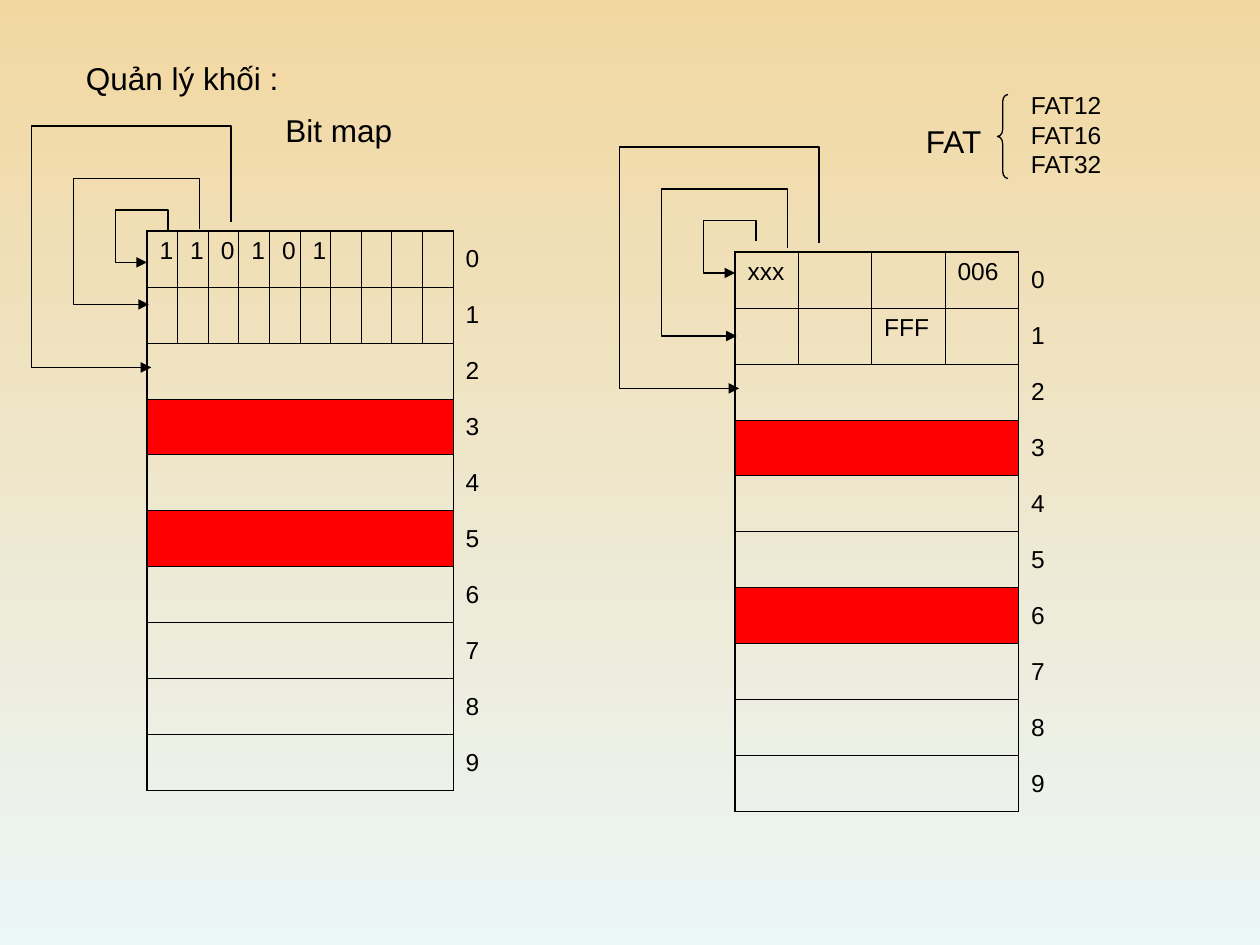
import pptx
import pptx.dml.color
import pptx.enum.shapes
import pptx.enum.text
import pptx.oxml
import pptx.oxml.ns
import pptx.util

Pt = pptx.util.Pt
NS = pptx.oxml.ns.nsdecls("a")
INK, RED = "000000", "FF0000"
THIN, THICK = 0.45, 1.08
ROW = 32


def paint(text):
    return pptx.dml.color.RGBColor.from_string(text)


def style(item, form):
    for name, value in form.items():
        setattr(item, name, value)


def write(para, text, size):
    para.text = text
    style(para.font, {"name": "Arial", "size": Pt(size)})
    para.font.color.rgb = paint(INK)


def label(slide, box, lines, size):
    frame = slide.shapes.add_textbox(*map(Pt, box)).text_frame
    style(frame, {
        "word_wrap": False,
        "auto_size": pptx.enum.text.MSO_AUTO_SIZE.SHAPE_TO_FIT_TEXT,
    })
    for i, line in enumerate(lines):
        para = frame.add_paragraph() if i else frame.paragraphs[0]
        write(para, line, size)


def outline(shape):
    shape.shadow.inherit = False
    shape.fill.background()
    shape.line.color.rgb = paint(INK)
    shape.line.width = Pt(0.75)


def edge(cell, widths):
    """Set the left, right, top and bottom borders; zero means none."""
    props = cell._tc.get_or_add_tcPr()
    for side, width in zip("LRTB", widths):
        fill = (f'<a:solidFill><a:srgbClr val="{INK}"/></a:solidFill>'
                if width else "<a:noFill/>")
        props.append(pptx.oxml.parse_xml(
            f'<a:ln{side} {NS} w="{Pt(width)}">{fill}</a:ln{side}>'))


def disk(slide, left, top, cols, texts, used):
    """Draw ten blocks: two split into entries, the rest whole."""
    rows, last = 10, len(cols) - 1
    table = slide.shapes.add_table(
        rows, len(cols), Pt(left), Pt(top), Pt(sum(cols)), Pt(rows * ROW)).table
    style(table, {"first_row": False, "horz_banding": False})
    for col, width in zip(table.columns, cols):
        col.width = Pt(width)
    for r, row in enumerate(table.rows):
        row.height = Pt(ROW)
        for c, cell in enumerate(row.cells):
            if c == last:
                edge(cell, (THIN, 0, 0, 0))
                cell.vertical_anchor = pptx.enum.text.MSO_ANCHOR.MIDDLE
            else:
                edge(cell, (THIN if c else THICK, THIN,
                            THIN if r else THICK,
                            THICK if r == rows - 1 else THIN))
            if r in used and c < last:
                cell.fill.solid()
                cell.fill.fore_color.rgb = paint(RED)
            else:
                cell.fill.background()
            text = str(r) if c == last else texts.get((r, c))
            if text:
                write(cell.text_frame.paragraphs[0], text, 14)
        if r > 1:
            table.cell(r, 0).merge(table.cell(r, last - 1))


def loops(slide, left, top, routes):
    """Draw arrows from above the disk round to its left side."""
    for x, y, high, side, low, tip in routes:
        pen = slide.shapes.build_freeform(Pt(left + x), Pt(top + y))
        turns = [(x, high), (side, high), (side, low), (tip, low)]
        pen.add_line_segments(
            [(Pt(left + a), Pt(top + b)) for a, b in turns], close=False)
        shape = pen.convert_to_shape()
        outline(shape)
        shape.line._get_or_add_ln().append(
            pptx.oxml.parse_xml(f'<a:tailEnd {NS} type="triangle"/>'))


def kinds(slide, left, top):
    """List the FAT types beside a brace."""
    label(slide, (left, top + 18, 48, 29), ["FAT"], 18)
    brace = slide.shapes.add_shape(
        pptx.enum.shapes.MSO_SHAPE.LEFT_BRACE,
        *map(Pt, (left + 48, top + 6, 6, 48)))
    outline(brace)
    brace.adjustments[0] = 0.67
    label(slide, (left + 60, top, 56, 57.6), ["FAT12", "FAT16", "FAT32"], 14)


def main():
    deck = pptx.Presentation()
    style(deck, {"slide_width": Pt(720), "slide_height": Pt(540)})
    slide = deck.slides.add_slide(deck.slide_layouts[6])
    back = slide.background.fill
    back.gradient()
    back.gradient_angle = 270
    for stop, place, tint in zip(back.gradient_stops, (0, 1), ("F2D7A0", "EBF6F7")):
        stop.position = place
        stop.color.rgb = paint(tint)

    label(slide, (42, 30, 124.5, 29), ["Quản lý khối :"], 18)
    label(slide, (156, 60, 75.5, 29), ["Bit map"], 18)

    bits = {(0, c): bit for c, bit in enumerate("110101")}
    disk(slide, 84, 132, [17.5] * 10 + [42], bits, {3, 5})
    links = {(0, 0): "xxx", (0, 3): "006", (1, 2): "FFF"}
    disk(slide, 420, 144, [36, 42, 42, 42, 48], links, {3, 6})

    outer = (48, -5, -60, -66, 78, 2.4)
    loops(slide, 84, 132, [(12, 0, -12, -18, 18, 0),
                           (30, -1, -30, -42, 42, 1), outer])
    loops(slide, 420, 144, [(12, -6, -18, -18, 12, 0),
                            (30, -2, -36, -42, 48, 1), outer])
    kinds(slide, 522, 48)
    deck.save("out.pptx")


if __name__ == "__main__":
    main()
